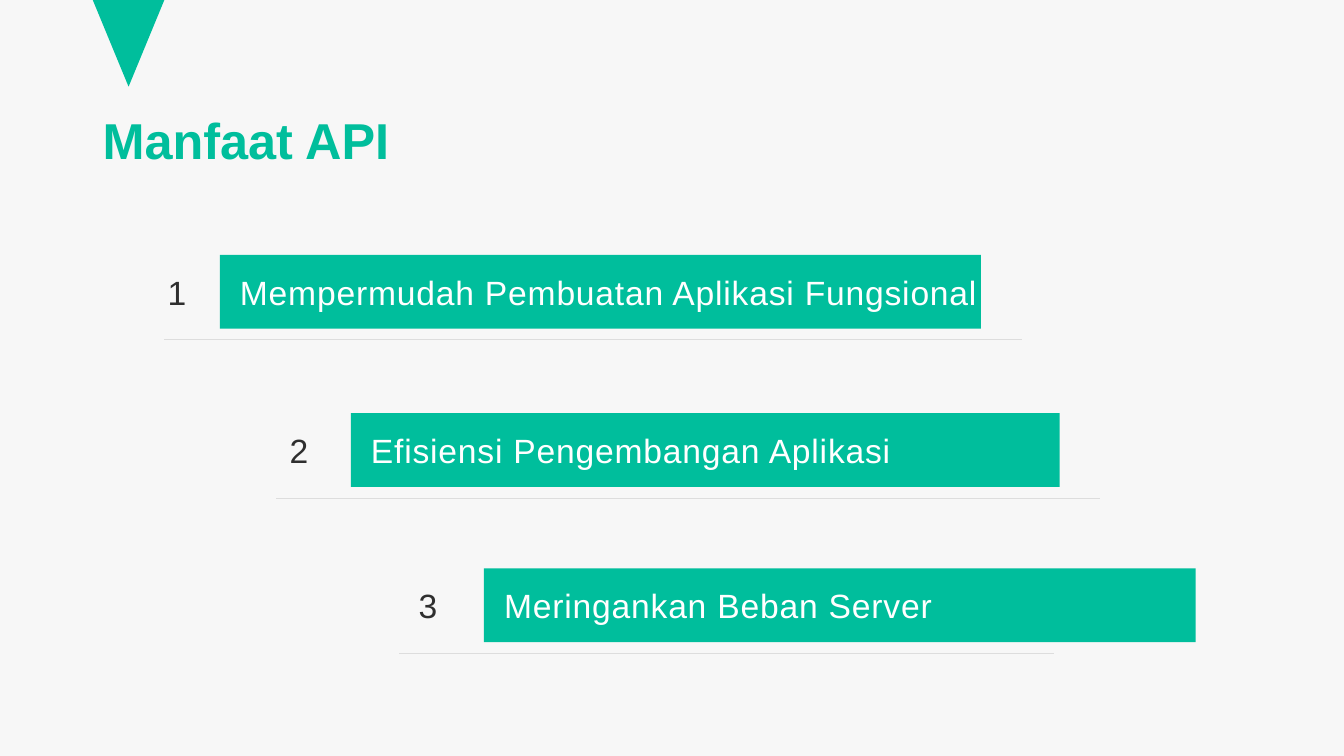
from lxml.etree import SubElement
from pptx import Presentation
from pptx.dml.color import RGBColor
from pptx.enum.shapes import MSO_CONNECTOR, MSO_SHAPE
from pptx.enum.text import MSO_ANCHOR, PP_ALIGN
from pptx.oxml.ns import qn
from pptx.util import Pt

PX = 9144
GREEN = "00BE9C"
BAR_HEIGHT = 73
NUMBER_HEIGHT = 84
NUMBER_RISE = 3
LINE_DROP = 84


def color(hex_string):
    return RGBColor.from_string(hex_string)


def write(shape, text, size, hex_string, margins, line_spacing=None):
    frame = shape.text_frame
    frame.text = text
    frame.word_wrap = True
    frame.vertical_anchor = MSO_ANCHOR.MIDDLE
    frame.margin_left, frame.margin_top, frame.margin_right, frame.margin_bottom = [
        margin * PX for margin in margins
    ]
    paragraph = frame.paragraphs[0]
    paragraph.alignment = PP_ALIGN.LEFT
    paragraph.line_spacing = line_spacing
    run = paragraph.runs[0]
    run.font.name = "Arial"
    run.font.size = Pt(size)
    run.font.color.rgb = color(hex_string)
    return paragraph, run


presentation = Presentation()
presentation.slide_width = 1333 * PX
presentation.slide_height = 750 * PX
slide = presentation.slides.add_slide(presentation.slide_layouts[6])
slide.background.fill.solid()
slide.background.fill.fore_color.rgb = color("F7F7F7")

triangle = slide.shapes.add_shape(
    MSO_SHAPE.ISOSCELES_TRIANGLE, 92 * PX, 0, 71 * PX, 86 * PX
)
triangle.rotation = 180
triangle.shadow.inherit = False
triangle.fill.solid()
triangle.fill.fore_color.rgb = color(GREEN)
triangle.line.fill.background()

title = slide.shapes.add_textbox(92 * PX, 95 * PX, 1150 * PX, 94 * PX)
paragraph, run = write(title, "Manfaat API", 36, GREEN, (10, 5, 10, 5), 0.9)
run.font.bold = True

benefits = [
    ("Mempermudah Pembuatan Aplikasi Fungsional", 253, 133, 85, 218, 755, 163, 1014),
    ("Efisiensi Pengembangan Aplikasi", 410, 245, 103, 348, 703, 274, 1091),
    ("Meringankan Beban Server", 564, 373, 103, 480, 706, 396, 1045),
]

for index, benefit in enumerate(benefits, start=1):
    text, top, number_left, number_width, bar_left, bar_width, line_start, line_end = benefit
    group = slide.shapes.add_group_shape()

    number = group.shapes.add_textbox(
        number_left * PX, (top - NUMBER_RISE) * PX, number_width * PX, NUMBER_HEIGHT * PX
    )
    paragraph, run = write(number, str(index), 24, "2F2F2F", (0, 0, 0, 0), 0.9)
    paragraph.alignment = PP_ALIGN.CENTER

    bar = group.shapes.add_shape(
        MSO_SHAPE.RECTANGLE, bar_left * PX, top * PX, bar_width * PX, BAR_HEIGHT * PX
    )
    bar.shadow.inherit = False
    bar.fill.solid()
    bar.fill.fore_color.rgb = color(GREEN)
    bar.line.fill.background()
    paragraph, run = write(bar, text, 24, "FFFFFF", (20, 0, 0, 0))
    run.font._element.set("spc", "60")

    line_top = (top + LINE_DROP) * PX
    line = group.shapes.add_connector(
        MSO_CONNECTOR.STRAIGHT, line_start * PX, line_top, line_end * PX, line_top
    )
    line.line.color.rgb = color("DDDDDD")
    line.line.width = Pt(0.25)
    SubElement(line._element.spPr, qn("a:effectLst"))

presentation.save("out.pptx")
